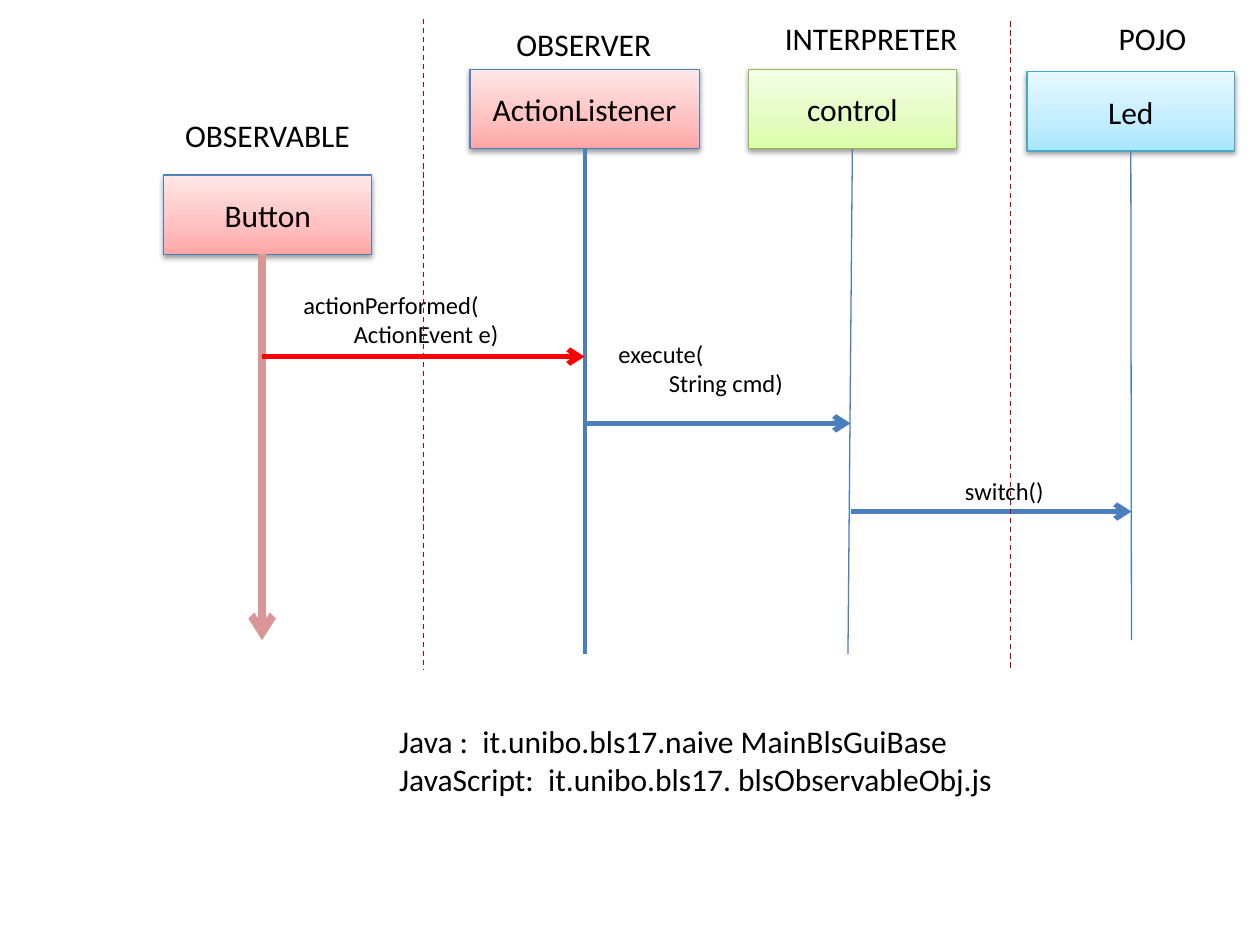
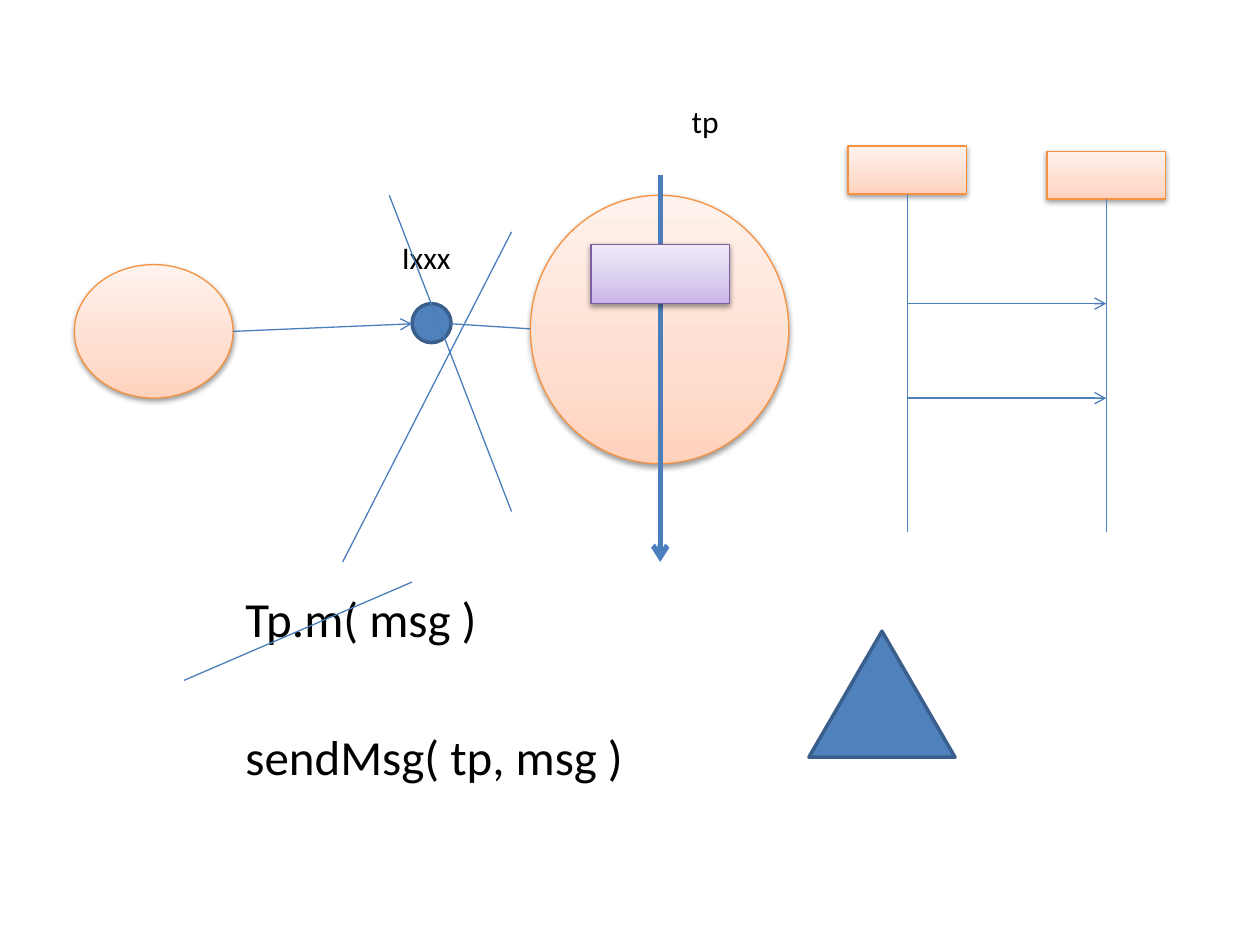
from collections import namedtuple
from dataclasses import dataclass

from lxml import etree
from pptx import Presentation
from pptx.dml.color import RGBColor
from pptx.enum import dml, shapes, text
from pptx.oxml.ns import qn
from pptx.util import Inches, Pt

Box = namedtuple("Box", "left top width height")
KIND = shapes.MSO_SHAPE


@dataclass(frozen=True)
class Theme:
    font: str = "Calibri"
    ink: str = "000000"
    line: str = "4B7EBC"
    outline: str = "4F81BD"
    solid: str = "4F81BD"
    solid_edge: str = "3A5F8C"
    divider: str = "C00000"
    event: str = "FF0000"
    button_life: str = "D99694"
    # Gradients run upwards, from the first colour to the last
    red: tuple = ("FFA6A5", "FFC0BF", "FFE7E7")
    green: tuple = ("DAFDA7", "E4FCC2", "F5FFE7")
    cyan: tuple = ("A7E6FF", "C1EDFF", "E7F8FF")
    orange: tuple = ("FFD2BD", "FFDED0", "FFF2ED")
    purple: tuple = ("C9B5E8", "D8CBEE", "F0EAF9")
    green_edge: str = "98B955"
    cyan_edge: str = "46AAC5"
    orange_edge: str = "F69240"
    purple_edge: str = "7D60A0"
    label: int = 18
    message: int = 14
    call: int = 28
    thin: float = 0.75
    thick: float = 3


THEME = Theme()
GRADIENT_STOPS = (0, 35000, 100000)


# ---- Shared drawing helpers; places are relative to an area ----
def place(area, left, top, width, height):
    return [Inches(v) for v in (area.left + left, area.top + top, width, height)]


def style_text(paragraph, size):
    look = {"name": THEME.font, "size": Pt(size)}
    for key, value in look.items():
        setattr(paragraph.font, key, value)
    paragraph.font.color.rgb = RGBColor.from_string(THEME.ink)


def style_line(line, color, width):
    line.color.rgb = RGBColor.from_string(color)
    line.width = Pt(width)


def add_label(parent, area, spot, lines, size=THEME.label, indent=0):
    """Unwrapped text; lines after the first take the indent."""
    label = parent.add_textbox(*place(area, *spot))
    frame = label.text_frame
    frame.word_wrap = False
    frame.auto_size = text.MSO_AUTO_SIZE.SHAPE_TO_FIT_TEXT
    for i, words in enumerate(lines):
        paragraph = frame.paragraphs[0] if i == 0 else frame.add_paragraph()
        paragraph.text = words
        if i and indent:
            paragraph._p.get_or_add_pPr().set("marL", str(Inches(indent)))
        style_text(paragraph, size)


def add_solid(parent, area, kind, spot):
    figure = parent.add_shape(kind, *place(area, *spot))
    figure.shadow.inherit = False
    figure.fill.solid()
    figure.fill.fore_color.rgb = RGBColor.from_string(THEME.solid)
    style_line(figure.line, THEME.solid_edge, 2)


def add_glossy(parent, area, kind, spot, colors, edge, words=""):
    """Shape with a three-stop gradient and a soft shadow below."""
    figure = parent.add_shape(kind, *place(area, *spot))
    figure.shadow.inherit = False
    figure.fill.gradient()
    figure.fill.gradient_angle = 90
    style_line(figure.line, edge, THEME.thin)

    properties = figure.element.spPr
    stops = properties.find(qn("a:gradFill")).find(qn("a:gsLst"))
    for stop in list(stops):
        stops.remove(stop)
    for position, color in zip(GRADIENT_STOPS, colors):
        stop = etree.SubElement(stops, qn("a:gs"), pos=str(position))
        etree.SubElement(stop, qn("a:srgbClr"), val=color)

    shadow = etree.SubElement(
        properties.find(qn("a:effectLst")), qn("a:outerShdw"),
        blurRad="40000", dist="20000", dir="5400000", rotWithShape="0")
    tone = etree.SubElement(shadow, qn("a:srgbClr"), val="000000")
    etree.SubElement(tone, qn("a:alpha"), val="38000")

    if words:
        frame = figure.text_frame
        frame.vertical_anchor = text.MSO_ANCHOR.MIDDLE
        paragraph = frame.paragraphs[0]
        paragraph.text = words
        paragraph.alignment = text.PP_ALIGN.CENTER
        style_text(paragraph, THEME.label)
    return figure


def add_line(parent, area, start, end, color=THEME.line, width=THEME.thin,
             arrow=False, dashed=False):
    ends = [Inches(v) for v in (area.left + start[0], area.top + start[1],
                                area.left + end[0], area.top + end[1])]
    line = parent.add_connector(shapes.MSO_CONNECTOR.STRAIGHT, *ends)
    style_line(line.line, color, width)
    if dashed:
        line.line.dash_style = dml.MSO_LINE.DASH
    properties = line.element.spPr
    if arrow:
        etree.SubElement(properties.find(qn("a:ln")), qn("a:tailEnd"), type="arrow")
    etree.SubElement(properties, qn("a:effectLst"))
    return line


# ---- Slide 1: observer sequence ----
def draw_participants(parent, area):
    # name, head spot, colours, edge, life start x, life end, life colour, width
    participants = (
        ("Button", (0, 1.29, 1.65, 0.63), THEME.red, THEME.outline,
         0.78, (0.78, 4.98), THEME.button_life, 4.5),
        ("ActionListener", (2.43, 0.45, 1.82, 0.63), THEME.red, THEME.outline,
         3.34, (3.34, 5.09), THEME.line, 2.25),
        ("control", (4.64, 0.45, 1.65, 0.63), THEME.green, THEME.green_edge,
         5.47, (5.43, 5.09), THEME.line, THEME.thin),
        ("Led", (6.85, 0.47, 1.65, 0.63), THEME.cyan, THEME.cyan_edge,
         7.68, (7.68, 4.98), THEME.line, THEME.thin),
    )
    for name, spot, colors, edge, life_x, life_end, color, width in participants:
        group = parent.add_group_shape().shapes
        head = add_glossy(group, area, KIND.RECTANGLE, spot, colors, edge, name)
        observable = name == "Button"
        life = add_line(group, area, (life_x, spot[1] + spot[3]), life_end,
                        color, width, arrow=observable)
        if not observable:  # the button's life line runs left of its middle
            life.begin_connect(head, 2)


def draw_observer_sequence(slide, area):
    parent = slide.shapes
    draw_participants(parent, area)

    # Roles above the participants
    roles = (("OBSERVABLE", 0.07, 0.77, 1.52), ("OBSERVER", 2.7, 0.05, 1.28),
             ("INTERPRETER", 4.83, 0, 1.58), ("POJO", 7.48, 0, 0.74))
    for role, left, top, width in roles:
        add_label(parent, area, (left, top, width, 0.4), [role])

    # Messages from one life line to the next
    messages = (
        (["actionPerformed(", "ActionEvent e)"], (1.01, 2.15, 1.76, 0.57),
         0.78, 3.34, 2.73, THEME.event),
        (["execute(", "String cmd)"], (3.51, 2.54, 1.51, 0.57),
         3.34, 5.45, 3.26, THEME.line),
        (["switch()"], (6.26, 3.63, 0.83, 0.34), 5.45, 7.68, 3.96, THEME.line),
    )
    for lines, spot, sender, receiver, y, color in messages:
        add_line(parent, area, (sender, y), (receiver, y), color, THEME.thick,
                 arrow=True)
        add_label(parent, area, spot, lines, THEME.message, indent=0.4)

    # Dividers between the layers
    for x, top in ((2.06, 0.05), (6.72, 0.07)):
        add_line(parent, area, (x, top), (x, area.height), THEME.divider, dashed=True)


def draw_code_references(slide, area):
    add_label(slide.shapes, area, (0, 0, area.width, area.height),
              ["Java :  it.unibo.bls17.naive MainBlsGuiBase",
               "JavaScript:  it.unibo.bls17. blsObservableObj.js"])


# ---- Slide 2: message passing sketch ----
def draw_interface_sketch(slide, area):
    parent = slide.shapes
    peach = (THEME.orange, THEME.orange_edge)

    # Receiver with its thread, interface and sender
    add_glossy(parent, area, KIND.OVAL, (3.62, 0.79, 2.05, 2.13), *peach)
    add_line(parent, area, (4.65, 0.63), (4.65, 3.7), width=THEME.thick, arrow=True)
    add_solid(parent, area, KIND.OVAL, (2.68, 1.65, 0.31, 0.31))
    add_line(parent, area, (2.99, 1.81), (3.62, 1.85))
    add_glossy(parent, area, KIND.OVAL, (0, 1.34, 1.26, 1.06), *peach)
    add_line(parent, area, (1.26, 1.87), (2.68, 1.81), arrow=True)
    add_glossy(parent, area, KIND.RECTANGLE, (4.1, 1.18, 1.1, 0.47),
               THEME.purple, THEME.purple_edge)

    # Names, and the cross over the interface
    add_label(parent, area, (2.5, 1.08, 0.59, 0.4), ["Ixxx"])
    add_line(parent, area, (3.47, 1.08), (2.13, 3.7))
    add_line(parent, area, (2.5, 0.79), (3.47, 3.3))
    add_label(parent, area, (4.8, 0, 0.42, 0.4), ["tp"])


def draw_calls(slide, area):
    for i, call in enumerate(("Tp.m( msg )", "sendMsg( tp, msg )")):
        width = (2.06, 3.23)[i]
        add_label(slide.shapes, area, (0.39, 1.1 * i, width, 0.57), [call], THEME.call)
    add_line(slide.shapes, area, (1.81, 0), (0, 0.78))


def draw_small_sequence(slide, area):
    parent = slide.shapes
    head_width, head_height = 0.94, 0.38
    lives = []
    for left, top in ((0, 0), (area.width - head_width, 0.04)):
        head = add_glossy(parent, area, KIND.RECTANGLE,
                          (left, top, head_width, head_height),
                          THEME.orange, THEME.orange_edge)
        x = left + head_width / 2
        life = add_line(parent, area, (x, top + head_height), (x, area.height))
        life.begin_connect(head, 2)
        lives.append(x)
    for y in (1.25, 2):
        add_line(parent, area, (lives[0], y), (lives[1], y), arrow=True)


def draw_triangle(slide, area):
    add_solid(slide.shapes, area, KIND.ISOSCELES_TRIANGLE,
              (0, 0, area.width, area.height))


def main():
    deck = Presentation()
    deck.slide_width, deck.slide_height = Inches(10), Inches(7.5)
    blank = deck.slide_layouts[6]

    observer = deck.slides.add_slide(blank)
    draw_observer_sequence(observer, Box(1.3, 0.1, 8.5, 5.22))
    draw_code_references(observer, Box(3.07, 5.68, 4.96, 0.71))

    passing = deck.slides.add_slide(blank)
    draw_interface_sketch(passing, Box(0.59, 0.76, 5.67, 3.7))
    draw_calls(passing, Box(1.46, 4.62, 3.62, 1.67))
    draw_small_sequence(passing, Box(6.73, 1.16, 2.52, 3.06))
    draw_triangle(passing, Box(6.42, 5.01, 1.16, 1))

    deck.save("out.pptx")


if __name__ == "__main__":
    main()
